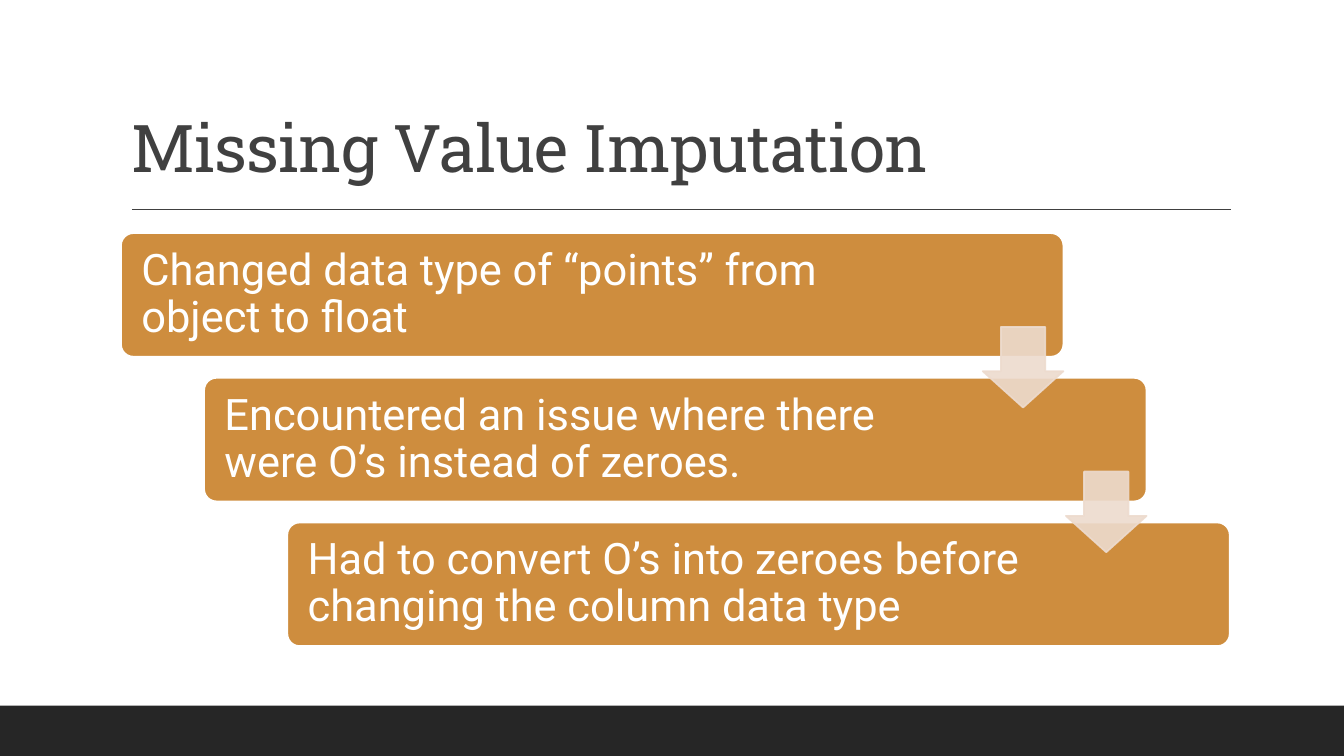
from lxml.etree import SubElement
from pptx import Presentation
from pptx.dml.color import RGBColor
from pptx.enum.shapes import MSO_CONNECTOR, MSO_SHAPE
from pptx.enum.text import MSO_ANCHOR, MSO_AUTO_SIZE, PP_ALIGN
from pptx.oxml.ns import qn
from pptx.util import Pt

SLIDE_WIDTH, SLIDE_HEIGHT = 960, 540
STEPS = [
    "Changed data type of “points” from object to float",
    "Encountered an issue where there were O’s instead of zeroes.",
    "Had to convert O’s into zeroes before changing the column data type",
]


def color(hex_code):
    """Return the colour for a hex string."""
    return RGBColor.from_string(hex_code)


def add_block(slide, preset, left, top, width, height, fill, line=None):
    """Add a flat preset shape with a solid fill and an optional outline."""
    block = slide.shapes.add_shape(preset, Pt(left), Pt(top), Pt(width), Pt(height))
    block.shadow.inherit = False
    block.fill.solid()
    block.fill.fore_color.rgb = color(fill)
    if line:
        block.line.color.rgb = color(line)
        block.line.width = Pt(1.25)
    else:
        block.line.fill.background()
    return block


def write_text(frame, text, font_name, size, hex_code, anchor):
    """Write one left-aligned paragraph into a text frame."""
    frame.word_wrap = True
    frame.auto_size = MSO_AUTO_SIZE.NONE
    frame.vertical_anchor = anchor
    paragraph = frame.paragraphs[0]
    paragraph.text = text
    paragraph.alignment = PP_ALIGN.LEFT
    paragraph.line_spacing = 0.9
    paragraph.font.name = font_name
    paragraph.font.size = Pt(size)
    paragraph.font.color.rgb = color(hex_code)
    return paragraph


def add_heading(slide, left, top, width, height):
    """Place the title in its box with the rule below it."""
    title = slide.shapes.title
    title.left, title.top, title.width, title.height = map(Pt, (left, top, width, height))
    heading = write_text(title.text_frame, "Missing Value Imputation",
                         "Roboto Slab", 47, "404040", MSO_ANCHOR.BOTTOM)
    heading.font._rPr.set("spc", "-50")
    rule_left, rule_top = left + 7.9, top + height + 13
    rule = slide.shapes.add_connector(
        MSO_CONNECTOR.STRAIGHT, Pt(rule_left), Pt(rule_top), Pt(rule_left + 784.8), Pt(rule_top))
    rule.line.color.rgb = color("404040")
    rule.line.width = Pt(1)
    SubElement(rule._element.spPr, qn("a:effectLst"))


def add_step(slide, text, left, top, width, height):
    """Add one step card with its text."""
    card = add_block(slide, MSO_SHAPE.ROUNDED_RECTANGLE, left, top, width, height,
                     "CE8D3E", "FFFFFF")
    card.adjustments[0] = 0.1
    frame = card.text_frame
    frame.margin_left, frame.margin_right = Pt(12), Pt(126)
    frame.margin_top = frame.margin_bottom = Pt(9)
    write_text(frame, text, "Roboto", 31, "FFFFFF", MSO_ANCHOR.MIDDLE)


def add_step_arrow(slide, left, top, size):
    """Add a translucent arrow leading down to the next step."""
    arrow = add_block(slide, MSO_SHAPE.DOWN_ARROW, left, top, size, size, "EDDBCE", "EDDBCE")
    arrow.adjustments[0] = 0.55
    arrow.adjustments[1] = 0.45
    for tint in arrow._element.spPr.iter(qn("a:srgbClr")):
        SubElement(tint, qn("a:alpha"), val="90000")


def add_staircase(slide, left, top, width, height):
    """Fill the box with descending step cards and the arrows between them."""
    card_width, card_height, arrow_size = 673.2, 88.3, 57.6
    shift = (width - card_width) / (len(STEPS) - 1)
    drop = (height - card_height) / (len(STEPS) - 1)
    for index, text in enumerate(STEPS):
        add_step(slide, text, left + index * shift, top + index * drop, card_width, card_height)
    for index in range(len(STEPS) - 1):
        gap_middle = top + index * drop + (card_height + drop) / 2
        add_step_arrow(slide, left + index * shift + card_width - arrow_size,
                       gap_middle - arrow_size / 2, arrow_size)


def main():
    """Build and save the slide."""
    presentation = Presentation()
    presentation.slide_width, presentation.slide_height = Pt(SLIDE_WIDTH), Pt(SLIDE_HEIGHT)
    slide = presentation.slides.add_slide(presentation.slide_layouts[5])
    add_block(slide, MSO_SHAPE.RECTANGLE, 0, SLIDE_HEIGHT - 36, SLIDE_WIDTH, 36, "262626")
    add_heading(slide, 86.4, 22.4, 792, 114.4)
    add_staircase(slide, 86.4, 166.5, 792, 295)
    presentation.save("out.pptx")


if __name__ == "__main__":
    main()
